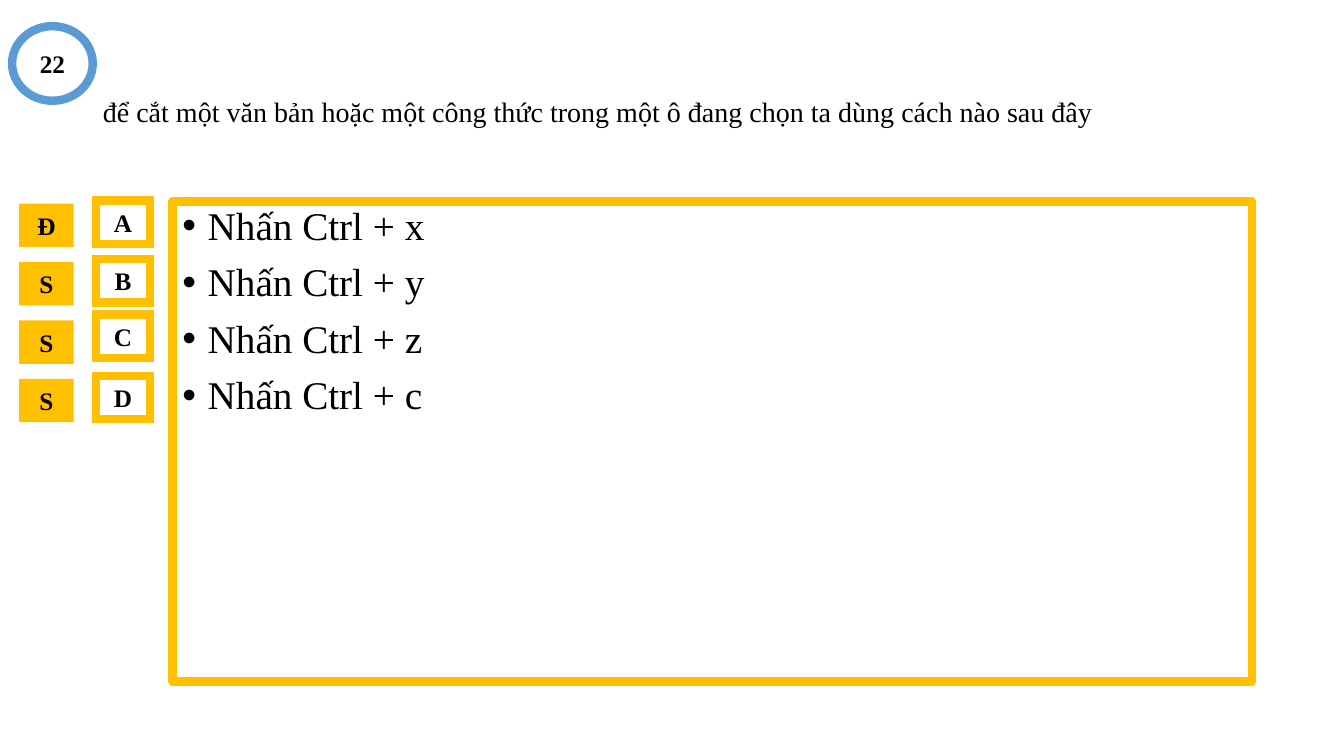
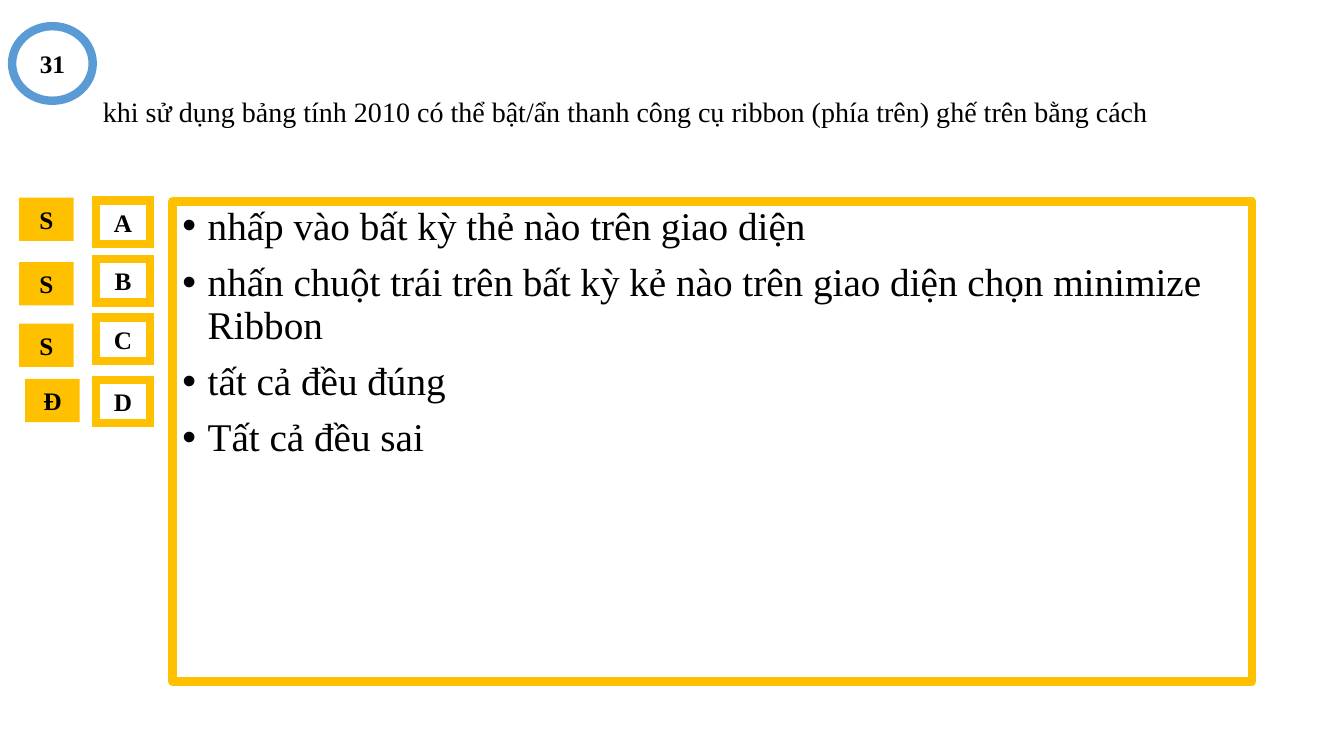
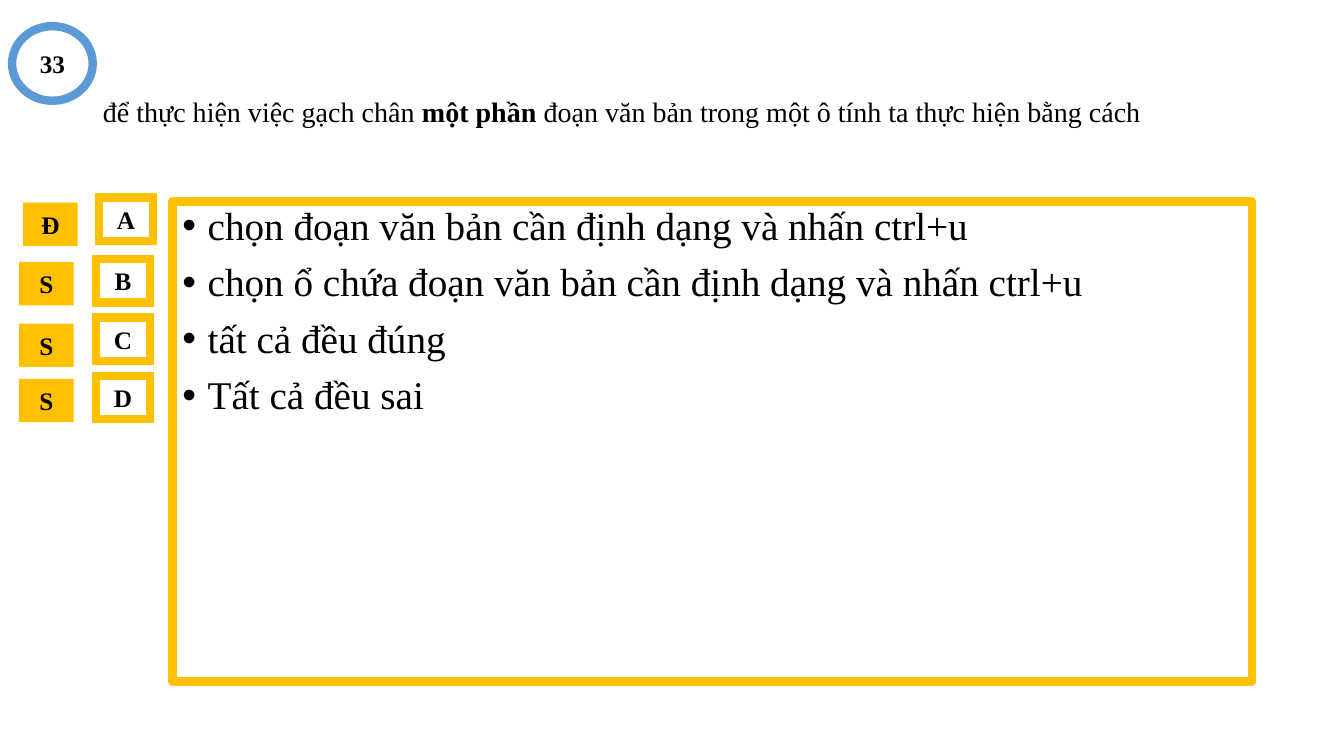
from dataclasses import dataclass

from lxml import etree
from pptx import Presentation
from pptx import util as u
from pptx.dml.color import RGBColor
from pptx.enum import shapes, text
from pptx.oxml.ns import qn


@dataclass(frozen=True)
class Theme:
    font: str = "Times New Roman"
    ink: str = "000000"
    paper: str = "FFFFFF"
    gold: str = "FFC000"
    blue: str = "5B9BD5"
    title_size: int = 20
    list_size: int = 28
    label_size: int = 18
    border: int = 6


theme = Theme()

# Answer grid, in inches: one row per option, one column per kind of box
LETTERS = "ABCD"
BOX_WIDTH, BOX_HEIGHT = 0.54, 0.43
ROW_PITCH = 0.58
LETTER_LEFT, LETTER_TOP = 0.95, 1.99
VERDICT_LEFT, VERDICT_TOP = 0.19, 2.02

# A title is a list of (text, bold); nudges shift single boxes off the grid.
QUESTIONS = [
    dict(
        number="22",
        title=[("để cắt một văn bản hoặc một công thức trong một ô đang chọn "
                "ta dùng cách nào sau đây", False)],
        options=["Nhấn Ctrl + x", "Nhấn Ctrl + y", "Nhấn Ctrl + z", "Nhấn Ctrl + c"],
        verdicts="ĐSSS",
        letter_nudges={"C": (0, -0.03)},
        verdict_nudges={},
    ),
    dict(
        number="31",
        title=[("khi sử dụng bảng tính 2010 có thể bật/ẩn thanh công cụ ribbon "
                "(phía trên) ghế trên bằng cách", False)],
        options=[
            "nhấp vào bất kỳ thẻ nào trên giao diện",
            "nhấn chuột trái trên bất kỳ kẻ nào trên giao diện chọn minimize Ribbon",
            "tất cả đều đúng",
            "Tất cả đều sai",
        ],
        verdicts="SSSĐ",
        letter_nudges={"D": (0, 0.04)},
        verdict_nudges={"A": (0, -0.06), "C": (0, 0.03), "D": (0.06, 0)},
    ),
    dict(
        number="33",
        title=[
            ("để thực hiện việc gạch chân ", False),
            ("một phần ", True),
            ("đoạn văn bản trong một ô tính ta thực hiện bằng cách", False),
        ],
        options=[
            "chọn đoạn văn bản cần định dạng và nhấn ctrl+u",
            "chọn ổ chứa đoạn văn bản cần định dạng và nhấn ctrl+u",
            "tất cả đều đúng",
            "Tất cả đều sai",
        ],
        verdicts="ĐSSS",
        letter_nudges={"A": (0.03, -0.03)},
        verdict_nudges={"A": (0.04, -0.01), "C": (0, 0.03)},
    ),
]


def write(paragraph, words, size=theme.label_size, bold=False, align=text.PP_ALIGN.LEFT):
    paragraph.alignment = align
    run = paragraph.add_run()
    run.text = words
    run.font.name = theme.font
    run.font.size = u.Pt(size)
    run.font.bold = bold
    run.font.color.rgb = RGBColor.from_string(theme.ink)


def dress(shape, box, fill=theme.paper, opacity=100, line=None, miter=False,
          anchor=text.MSO_ANCHOR.MIDDLE):
    """Set a shape's place (left, top, width, height), fill, border and text frame."""
    shape.left, shape.top, shape.width, shape.height = map(u.Inches, box)
    shape.fill.solid()
    shape.fill.fore_color.rgb = RGBColor.from_string(fill)
    if opacity < 100:
        color = shape.fill._xPr.find(qn("a:solidFill"))[0]
        etree.SubElement(color, qn("a:alpha"), val=str(opacity * 1000))
    if line:
        shape.line.color.rgb = RGBColor.from_string(line)
        shape.line.width = u.Pt(theme.border)
        if miter:
            etree.SubElement(shape.line._get_or_add_ln(), qn("a:miter"), lim="800000")
    else:
        shape.line.fill.background()
    frame = shape.text_frame
    frame.word_wrap = True
    frame.auto_size = text.MSO_AUTO_SIZE.NONE
    frame.vertical_anchor = anchor
    return frame


presentation = Presentation()
presentation.slide_width, presentation.slide_height = u.Inches(13.33), u.Inches(7.5)

for question in QUESTIONS:
    slide = presentation.slides.add_slide(presentation.slide_layouts[1])

    title_frame = dress(slide.shapes.title, (0.92, 0.4, 11.5, 1.45), opacity=79)
    title = title_frame.paragraphs[0]
    title.line_spacing = 0.9
    for words, bold in question["title"]:
        write(title, words, size=theme.title_size, bold=bold)

    options_frame = dress(slide.placeholders[1], (1.71, 2, 10.71, 4.76), opacity=79,
                          line=theme.gold, anchor=text.MSO_ANCHOR.TOP)
    for row, option in enumerate(question["options"]):
        paragraph = options_frame.add_paragraph() if row else options_frame.paragraphs[0]
        paragraph.line_spacing = 0.9
        paragraph.space_before = u.Pt(10 if row else 0)
        properties = paragraph._p.get_or_add_pPr()
        properties.set("marL", str(u.Inches(0.25)))
        properties.set("indent", str(-u.Inches(0.25)))
        etree.SubElement(properties, qn("a:buFont"), typeface="Arial")
        etree.SubElement(properties, qn("a:buChar"), char="•")
        write(paragraph, option, size=theme.list_size)

    labels = [(shapes.MSO_SHAPE.OVAL, question["number"], (0.12, 0.26, 0.8, 0.74),
               dict(line=theme.blue))]
    columns = [
        (LETTER_LEFT, LETTER_TOP, LETTERS, question["letter_nudges"],
         dict(opacity=85, line=theme.gold, miter=True)),
        (VERDICT_LEFT, VERDICT_TOP, question["verdicts"], question["verdict_nudges"],
         dict(fill=theme.gold)),
    ]
    for left, top, captions, nudges, style in columns:
        for row, (letter, caption) in enumerate(zip(LETTERS, captions)):
            right, down = nudges.get(letter, (0, 0))
            box = (left + right, top + row * ROW_PITCH + down, BOX_WIDTH, BOX_HEIGHT)
            labels.append((shapes.MSO_SHAPE.RECTANGLE, caption, box, style))

    for kind, caption, box, style in labels:
        label = slide.shapes.add_shape(kind, *map(u.Inches, box))
        label.shadow.inherit = False
        label_frame = dress(label, box, **style)
        write(label_frame.paragraphs[0], caption, bold=True, align=text.PP_ALIGN.CENTER)

presentation.save("out.pptx")
